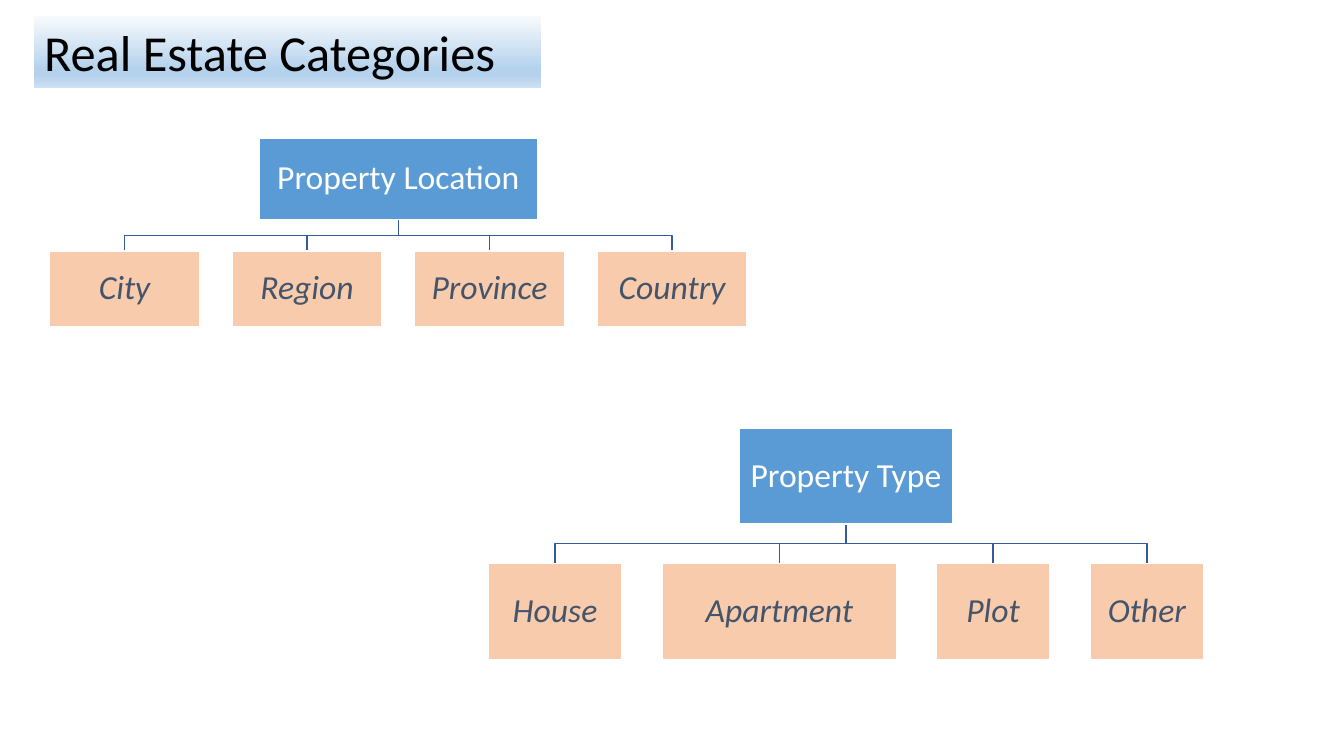
import copy
from dataclasses import dataclass

import pptx
import pptx.dml.color
import pptx.enum.shapes
import pptx.enum.text
import pptx.oxml.ns
import pptx.util

Inches = pptx.util.Inches


@dataclass(frozen=True)
class Theme:
    font: str = "Calibri"
    title_size: int = 36
    node_size: int = 24
    line_width: int = 1
    title_text: str = "000000"
    title_stops: tuple = ((0, "F7FAFD"), (74, "B5D2EC"), (83, "B5D2EC"), (100, "CEE1F2"))
    root_fill: str = "5B9BD5"
    root_text: str = "FFFFFF"
    leaf_fill: str = "F8CBAD"
    leaf_text: str = "44546A"
    outline: str = "FFFFFF"
    branch: str = "365B9D"


def rgb(value):
    return pptx.dml.color.RGBColor.from_string(value)


class SlideBuilder:
    def __init__(self, slide, theme):
        self.shapes = slide.shapes
        self.theme = theme

    def box(self, left, top, width, height):
        rectangle = self.shapes.add_shape(
            pptx.enum.shapes.MSO_SHAPE.RECTANGLE,
            Inches(left), Inches(top), Inches(width), Inches(height))
        rectangle.shadow.inherit = False
        return rectangle

    def label(self, shape, text, size, color, align, italic=False):
        paragraph = shape.text_frame.paragraphs[0]
        paragraph.alignment = align
        run = paragraph.add_run()
        run.text = text
        run.font.name = self.theme.font
        run.font.size = pptx.util.Pt(size)
        run.font.italic = italic
        run.font.color.rgb = rgb(color)
        return paragraph

    def title(self, text, left, top, width, height):
        banner = self.box(left, top, width, height)
        banner.line.fill.background()
        banner.fill.gradient()
        banner.fill.gradient_angle = 270
        # Replace the default gradient stops
        stops = banner.element.spPr.find(".//" + pptx.oxml.ns.qn("a:gsLst"))
        pattern = copy.deepcopy(stops[0])
        for stop in list(stops):
            stops.remove(stop)
        for _ in self.theme.title_stops:
            stops.append(copy.deepcopy(pattern))
        for stop, (position, color) in zip(banner.fill.gradient_stops, self.theme.title_stops):
            stop.position = position / 100
            stop.color.rgb = rgb(color)
        banner.text_frame.vertical_anchor = pptx.enum.text.MSO_ANCHOR.TOP
        banner.text_frame.word_wrap = True
        self.label(banner, text, self.theme.title_size, self.theme.title_text,
                   pptx.enum.text.PP_ALIGN.LEFT)

    def node(self, text, left, top, width, height, fill, color, italic=False):
        node = self.box(left, top, width, height)
        node.fill.solid()
        node.fill.fore_color.rgb = rgb(fill)
        node.line.color.rgb = rgb(self.theme.outline)
        node.line.width = pptx.util.Pt(self.theme.line_width)
        frame = node.text_frame
        frame.word_wrap = True
        frame.vertical_anchor = pptx.enum.text.MSO_ANCHOR.MIDDLE
        frame.margin_left = frame.margin_right = Inches(0.02)
        frame.margin_top = frame.margin_bottom = Inches(0.02)
        paragraph = self.label(node, text, self.theme.node_size, color,
                               pptx.enum.text.PP_ALIGN.CENTER, italic)
        paragraph.line_spacing = 0.9

    def branch(self, start_x, start_y, end_x, end_y):
        middle = (start_y + end_y) / 2
        outline = self.shapes.build_freeform(Inches(start_x), Inches(start_y))
        bends = ((start_x, middle), (end_x, middle), (end_x, end_y))
        outline.add_line_segments([(Inches(x), Inches(y)) for x, y in bends], close=False)
        branch = outline.convert_to_shape()
        branch.shadow.inherit = False
        branch.fill.background()
        branch.line.color.rgb = rgb(self.theme.branch)
        branch.line.width = pptx.util.Pt(self.theme.line_width)

    def tree(self, root, leaves, left, top, root_width, root_height, leaf_height, gap, drop):
        """Lay out the leaves in a row and centre the root above them."""
        row_width = sum(width for _, width in leaves) + gap * (len(leaves) - 1)
        center = left + row_width / 2
        root_bottom = top + root_height
        leaf_top = root_bottom + drop
        placed = []
        for name, width in leaves:
            placed.append((name, left, width))
            left += width + gap
        # Branches lie behind the boxes
        for _, x, width in placed:
            self.branch(center, root_bottom, x + width / 2, leaf_top)
        self.node(root, center - root_width / 2, top, root_width, root_height,
                  self.theme.root_fill, self.theme.root_text)
        for name, x, width in placed:
            self.node(name, x, leaf_top, width, leaf_height,
                      self.theme.leaf_fill, self.theme.leaf_text, italic=True)


presentation = pptx.Presentation()
presentation.slide_width = Inches(13.33)
presentation.slide_height = Inches(7.5)
categories = SlideBuilder(
    presentation.slides.add_slide(presentation.slide_layouts[6]), Theme())

# Location tree
locations = [(name, 1.49) for name in ("City", "Region", "Province", "Country")]
categories.tree("Property Location", locations, left=0.49, top=1.37, root_width=2.76,
                root_height=0.81, leaf_height=0.75, gap=0.32, drop=0.31)

# Type tree
property_types = [("House", 1.33), ("Apartment", 2.32), ("Plot", 1.12), ("Other", 1.13)]
categories.tree("Property Type", property_types, left=4.84, top=4.25, root_width=2.12,
                root_height=0.95, leaf_height=0.95, gap=0.4, drop=0.39)

# Title
categories.title("Real Estate Categories", 0.34, 0.16, 5.03, 0.71)

presentation.save("out.pptx")
